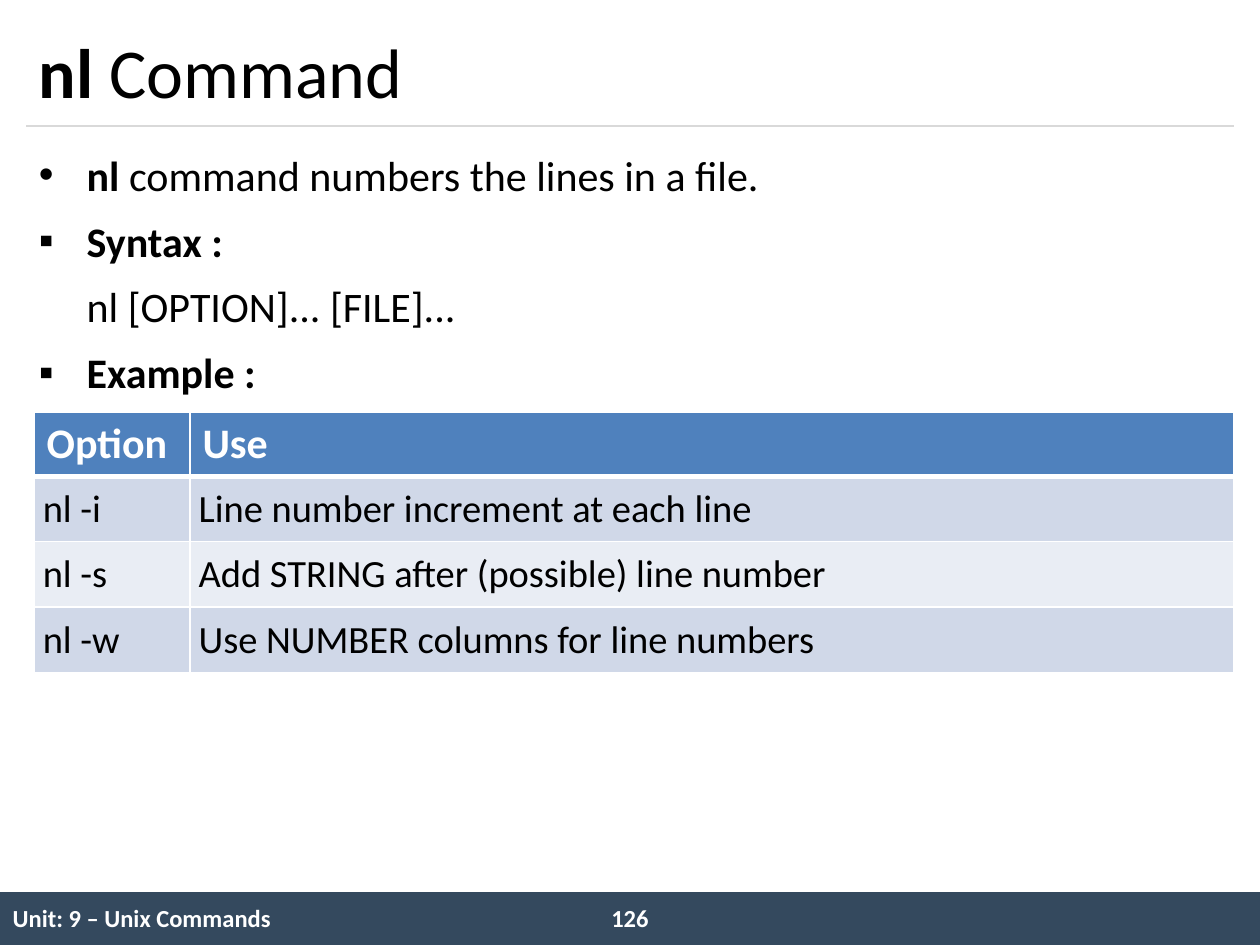
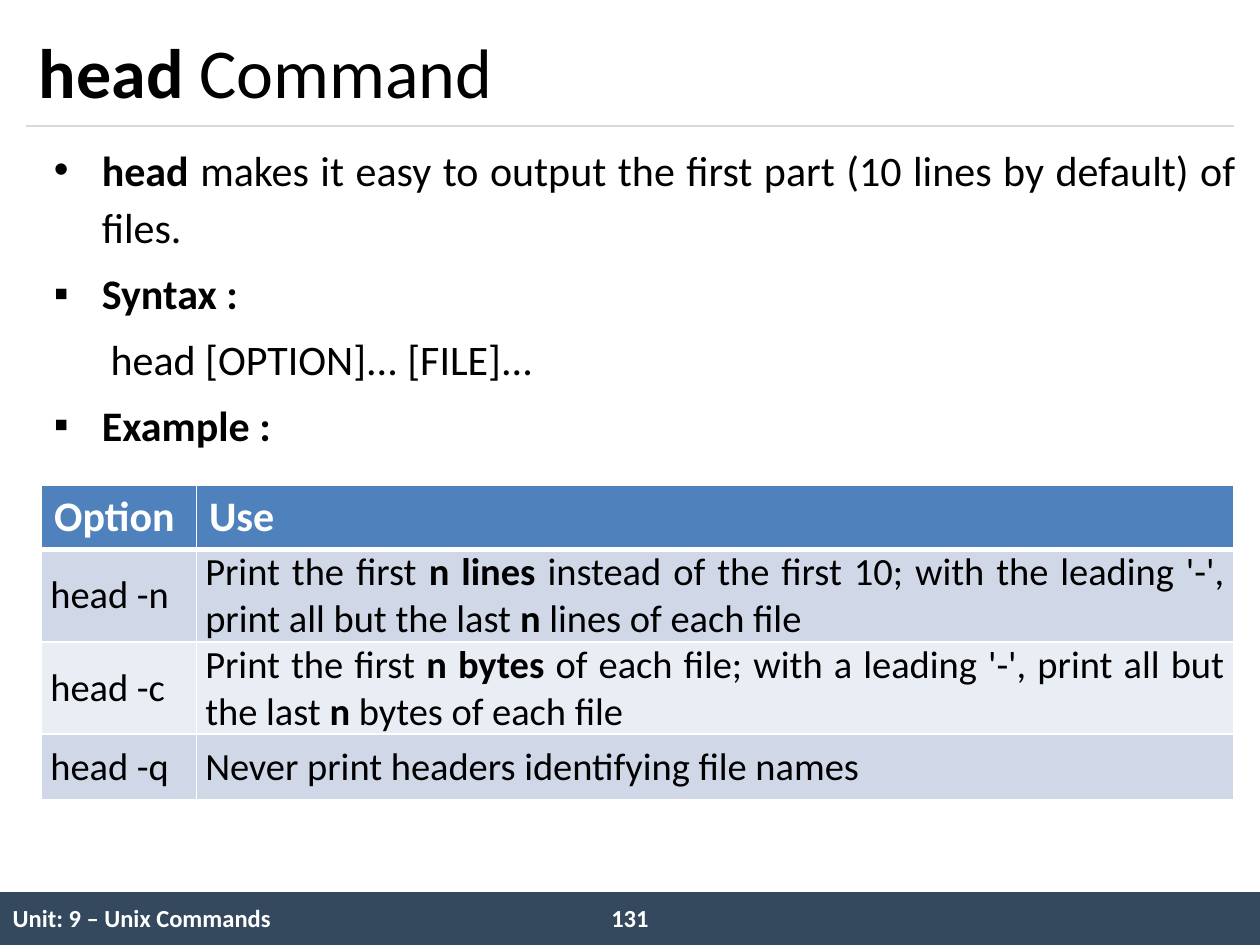
from lxml import etree
from pptx import Presentation
from pptx import util as u
from pptx.dml.color import RGBColor
from pptx.enum import shapes, text
from pptx.oxml.ns import qn

# Content: *...* marks bold; each body line is (bullet, left indent, words)
HANG = 0.38
UNIT = "Unit: 9 – Unix Commands"
HEAD = ("Option", "Use")
PAGES = [
    dict(no=126, title="*nl* Command", body=(0.21, 1.08),
         lines=[("•", HANG, "*nl* command numbers the lines in a file."),
                ("▪", HANG, "*Syntax :*"),
                (None, 0.38, "nl [OPTION]... [FILE]..."),
                ("▪", HANG, "*Example :*")],
         table=(0.27, 3.27),
         rows=[("nl -i", "Line number increment at each line"),
               ("nl -s", "Add STRING after (possible) line number"),
               ("nl -w", "Use NUMBER columns for line numbers")]),
    dict(no=131, title="*head *Command", body=(0.33, 1.04),
         lines=[("•", HANG, "*head* makes it easy to output the first part "
                 "(10 lines by default) of files."),
                ("▪", HANG, "*Syntax :*"),
                (None, 0.45, "head [OPTION]... [FILE]..."),
                ("▪", HANG, "*Example :*")],
         table=(0.33, 3.85),
         rows=[("head -n", "Print the first *n lines *instead of the first 10; "
                "with the leading '-', print all but the last* n *lines of "
                "each file"),
               ("head -c", "Print the first *n bytes *of each file; with a "
                "leading '-', print all but the last *n* bytes of each file"),
               ("head -q", "Never print headers identifying file names")]),
]

# Shared look
FONT = "Calibri"
BLACK = RGBColor(0, 0, 0)
WHITE = RGBColor(255, 255, 255)
NAVY = RGBColor(0x34, 0x49, 0x5E)
GREY = RGBColor(0xD9, 0xD9, 0xD9)
BLUE = RGBColor(0x4F, 0x81, 0xBD)
BANDS = (RGBColor(0xD0, 0xD8, 0xE8), RGBColor(0xE9, 0xED, 0xF4))
WIDE, HIGH, EDGE = 10, 7.5, 0.21
SPAN = WIDE - 2 * EDGE
RULE, FOOT = 1, 0.42
FOOT_COLS = (5.08, 0.67, 4.25)
SHARE, TOP_ROW, ROW = 0.13, 0.51, 0.52
LEFT, MID, JUST = (text.PP_ALIGN.LEFT, text.PP_ALIGN.CENTER,
                   text.PP_ALIGN.JUSTIFY)


def put(par, words, size, color=BLACK, align=LEFT):
    """Write words as runs, with the starred parts in bold."""
    par.alignment = align
    for i, part in enumerate(words.split("*")):
        if part:
            run = par.add_run()
            run.text = part
            font = run.font
            font.name, font.size, font.bold = FONT, u.Pt(size), i % 2 == 1
            font.color.rgb = color


def box(slide, x, y, w, h, anchor=text.MSO_ANCHOR.TOP):
    frame = slide.shapes.add_textbox(*map(u.Inches, (x, y, w, h))).text_frame
    frame.word_wrap = True
    frame.vertical_anchor = anchor
    return frame


def indent(par, mark, left):
    props = par._p.get_or_add_pPr()
    props.set("marL", str(u.Inches(left)))
    props.set("indent", str(-u.Inches(left) if mark else 0))
    if mark:
        etree.SubElement(props, qn("a:buFont")).set("typeface", "Arial")
        etree.SubElement(props, qn("a:buChar")).set("char", mark)


def make_grid(slide, x, y, cols, rows):
    grid = slide.shapes.add_table(
        len(rows), len(cols),
        *map(u.Inches, (x, y, sum(cols), sum(rows)))).table
    for col, size in zip(grid.columns, cols):
        col.width = u.Inches(size)
    for row, size in zip(grid.rows, rows):
        row.height = u.Inches(size)
    for cell in grid.iter_cells():
        cell.vertical_anchor = text.MSO_ANCHOR.MIDDLE
    return grid


def edge(cell, **sides):
    """Border widths in points, in the order L, R, T, B; 0 means none."""
    props = cell._tc.get_or_add_tcPr()
    for side, width in sides.items():
        line = etree.SubElement(props, qn(f"a:ln{side}"))
        line.set("w", str(u.Pt(width)))
        if width:
            fill = etree.SubElement(line, qn("a:solidFill"))
            etree.SubElement(fill, qn("a:srgbClr")).set("val", str(WHITE))
        else:
            etree.SubElement(line, qn("a:noFill"))


def add_foot(slide, no):
    top = HIGH - FOOT
    band = slide.shapes.add_shape(
        shapes.MSO_SHAPE.RECTANGLE, 0, u.Inches(top),
        u.Inches(WIDE), u.Inches(FOOT))
    band.shadow.inherit = False
    band.fill.solid()
    band.fill.fore_color.rgb = NAVY
    band.line.fill.background()

    grid = make_grid(slide, 0, top, FOOT_COLS, [0.43])
    grid.first_row = grid.horz_banding = False
    for cell in grid.iter_cells():
        edge(cell, L=0, R=0, T=0, B=0)
        cell.fill.background()
    put(grid.cell(0, 0).text_frame.paragraphs[0], f"*{UNIT}*", 14, WHITE)

    num = box(slide, WIDE / 2 - 0.29, top + 0.04, 0.58, 0.34)
    put(num.paragraphs[0], f"*{no}*", 14, WHITE, MID)


def add_title(slide, title):
    rule = slide.shapes.add_connector(
        shapes.MSO_CONNECTOR.STRAIGHT,
        *map(u.Inches, (EDGE, RULE, WIDE - EDGE, RULE)))
    rule.line.color.rgb, rule.line.width = GREY, u.Pt(0.75)
    etree.SubElement(rule._element.spPr, qn("a:effectLst"))

    name = box(slide, EDGE, 0.12, SPAN, RULE - 0.12, text.MSO_ANCHOR.MIDDLE)
    put(name.paragraphs[0], title, 40)


def add_body(slide, spot, lines):
    frame = box(slide, *spot, SPAN, 5.83)
    for i, (mark, left, words) in enumerate(lines):
        par = frame.add_paragraph() if i else frame.paragraphs[0]
        par.line_spacing = 1.14
        par.space_before = u.Pt(4.8 if i else 0)
        indent(par, mark, left)
        put(par, words, 24, align=JUST)


def add_options(slide, spot, rows):
    x, y = spot
    wide = WIDE - EDGE - x
    grid = make_grid(slide, x, y, (wide * SHARE, wide * (1 - SHARE)),
                     [TOP_ROW] + [ROW] * len(rows))
    for r, row in enumerate([HEAD, *rows]):
        for c, words in enumerate(row):
            cell = grid.cell(r, c)
            edge(cell, L=1, R=1, T=3 if r == 1 else 1, B=1 if r else 3)
            cell.fill.solid()
            cell.fill.fore_color.rgb = BANDS[(r - 1) % 2] if r else BLUE
            par = cell.text_frame.paragraphs[0]
            if r:
                cell.margin_left = cell.margin_right = u.Inches(0.07)
                cell.margin_top = cell.margin_bottom = 0
                put(par, words, 22, align=JUST)
            else:
                put(par, f"*{words}*", 24, WHITE, JUST if c else LEFT)


def main():
    deck = Presentation()
    deck.slide_width, deck.slide_height = u.Inches(WIDE), u.Inches(HIGH)
    for page in PAGES:
        slide = deck.slides.add_slide(deck.slide_layouts[6])
        add_foot(slide, page["no"])
        add_title(slide, page["title"])
        add_body(slide, page["body"], page["lines"])
        add_options(slide, page["table"], page["rows"])
    deck.save("out.pptx")


if __name__ == "__main__":
    main()
